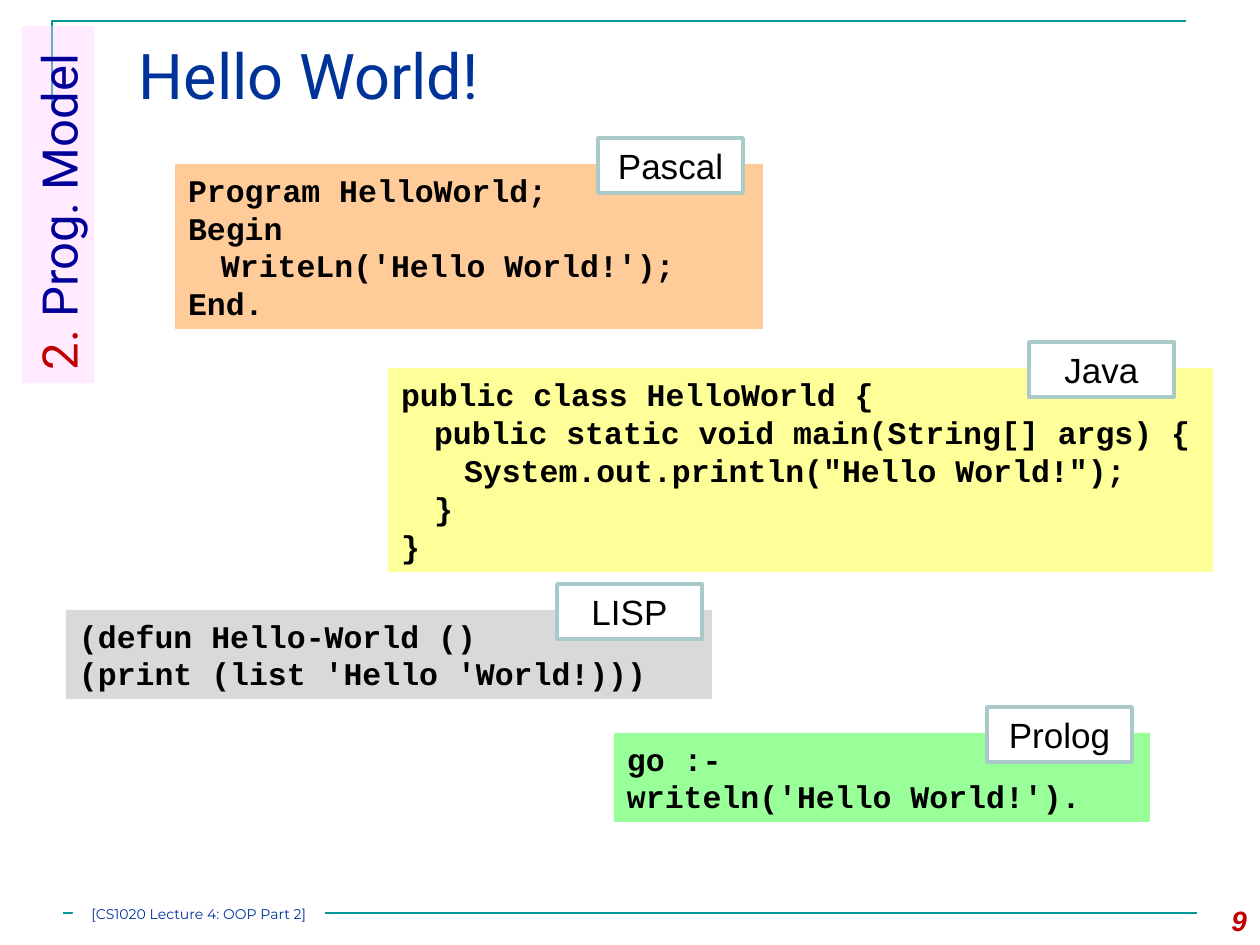
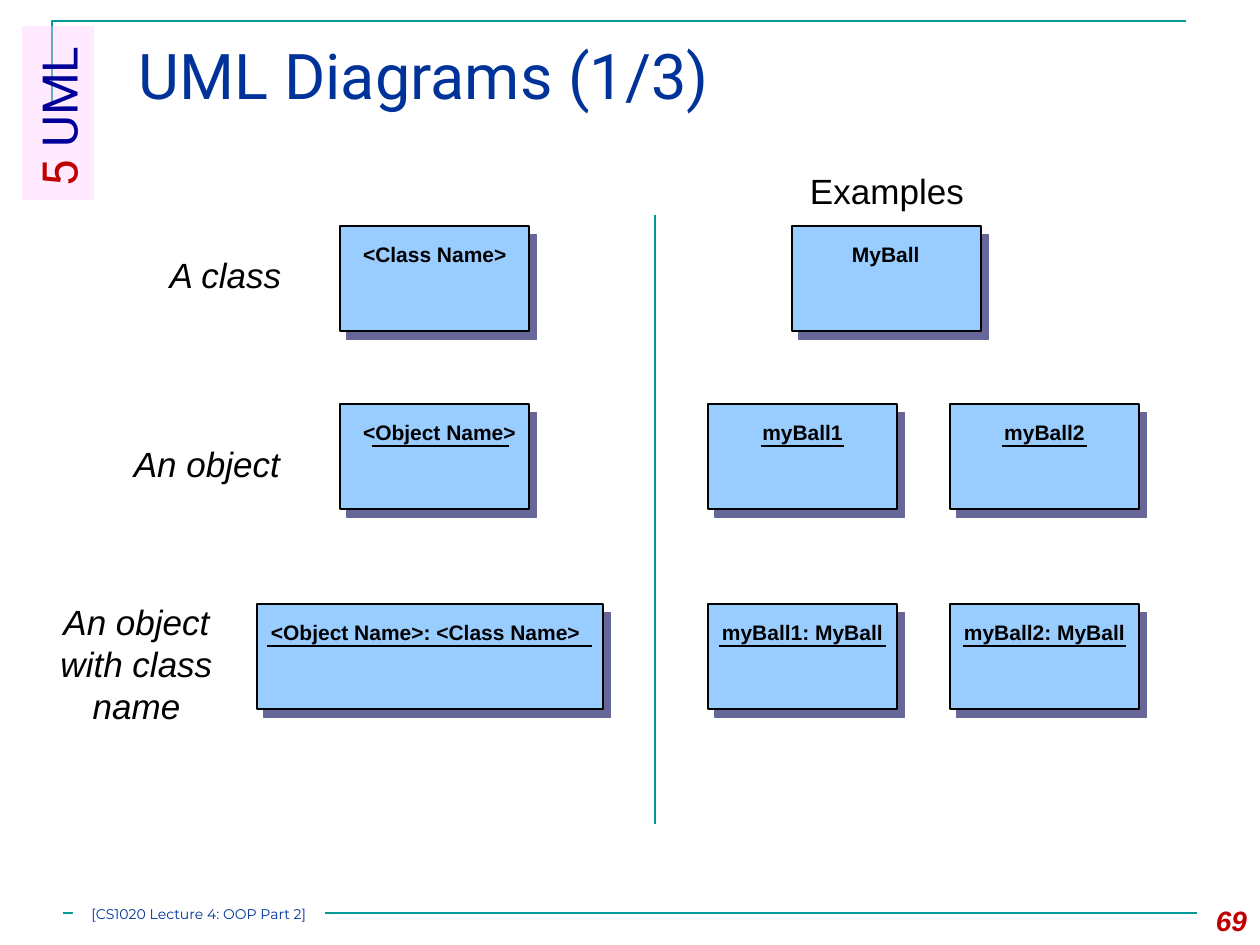
from lxml import etree
from pptx import Presentation
from pptx.dml.color import RGBColor
from pptx.enum import shapes, text
from pptx.oxml import ns
from pptx.util import Pt

NAVY = RGBColor(0x00, 0x33, 0x99)
BLUE = RGBColor(0x00, 0x00, 0x99)
RED = RGBColor(0xC0, 0x00, 0x00)
TEAL = RGBColor(0x00, 0x99, 0x99)
RULE = RGBColor(0x00, 0x96, 0x96)
PINK = RGBColor(0xFF, 0xCC, 0xFF)
BLACK = RGBColor(0x00, 0x00, 0x00)
WHITE = RGBColor(0xFF, 0xFF, 0xFF)
ORANGE = RGBColor(0xFF, 0xCC, 0x99)
YELLOW = RGBColor(0xFF, 0xFF, 0x99)
GREY = RGBColor(0xD9, 0xD9, 0xD9)
GREEN = RGBColor(0x99, 0xFF, 0x99)
EDGE = RGBColor(0xAA, 0xCA, 0xCA)
SKY = RGBColor(0x99, 0xCC, 0xFF)
SHADE = "666699"

PX = 914400 / 126
PAD = (13, 6, 13, 6)
FOOT = "[CS1020 Lecture 4: OOP Part 2]"
LEFT, MID, RIGHT = text.PP_ALIGN.LEFT, text.PP_ALIGN.CENTER, text.PP_ALIGN.RIGHT
TOP, HALF = text.MSO_ANCHOR.TOP, text.MSO_ANCHOR.MIDDLE
RECT, ROUND = shapes.MSO_SHAPE.RECTANGLE, shapes.MSO_SHAPE.ROUNDED_RECTANGLE

# language, left of its label, box, fill, tab stops, code
CODE = [
    ("Pascal", 598, (175, 164, 588, 165), ORANGE, [33], [
        "Program HelloWorld;",
        "Begin",
        "\tWriteLn('Hello World!');",
        "End."]),
    ("Java", 1029, (388, 368, 825, 204), YELLOW, [33, 63], [
        "public class HelloWorld {",
        "\tpublic static void main(String[] args) {",
        "\t\tSystem.out.println(\"Hello World!\");",
        "\t}",
        "}"]),
    ("LISP", 557, (66, 610, 646, 89), GREY, [], [
        "(defun Hello-World ()",
        "(print (list 'Hello 'World!)))"]),
    ("Prolog", 987, (614, 733, 536, 89), GREEN, [], [
        "go :-",
        "writeln('Hello World!')."]),
]
LABEL = (145, 55)
RISE = 26

# label, its box, top of the row, nodes
# node: name, left, width, text left, text width, align, underline ends
WIDE, TALL = 189, 105
ROWS = [
    ("A class", (131, 247, 189, 55), 226, [
        ("<Class Name>", 340, WIDE, 350, 170, LEFT, None),
        ("MyBall", 792, WIDE, 839, 93, LEFT, None)]),
    ("An object", (94, 436, 226, 55), 404, [
        ("<Object Name>", 340, WIDE, 350, 180, LEFT, (372, 509)),
        ("myBall1", 708, WIDE, 749, 107, MID, (761, 844)),
        ("myBall2", 950, WIDE, 991, 107, MID, (1002, 1087))]),
    ("An object with class name", (42, 594, 189, 140), 604, [
        ("<Object Name>: <Class Name>", 257, 346, 258, 343, LEFT, (267, 592)),
        ("myBall1: MyBall", 708, WIDE, 708, WIDE, MID, (719, 886)),
        ("myBall2: MyBall", 950, WIDE, 950, WIDE, MID, (963, 1126))]),
]


def emu(*vals):
    return [round(v * PX) for v in vals]


def write(shape, lines, size=20, font="Arial", color=BLACK, bold=False,
          italic=False, align=LEFT, anchor=HALF, pad=PAD, tabs=(), lead=None):
    """Fill a shape with lines; a line is a string or (string, colour) pairs."""
    frame = shape.text_frame
    frame.word_wrap = True
    frame.auto_size = text.MSO_AUTO_SIZE.NONE
    frame.vertical_anchor = anchor
    (frame.margin_left, frame.margin_top,
     frame.margin_right, frame.margin_bottom) = emu(*pad)
    for i, line in enumerate(lines):
        par = frame.add_paragraph() if i else frame.paragraphs[0]
        par.alignment = align
        if lead:
            par.line_spacing = Pt(lead)
        if tabs:
            stops = etree.SubElement(par._p.get_or_add_pPr(), ns.qn("a:tabLst"))
            for stop in tabs:
                etree.SubElement(stops, ns.qn("a:tab"),
                                 pos=str(emu(stop)[0]), algn="l")
        for words, tint in [(line, color)] if isinstance(line, str) else line:
            run = par.add_run()
            run.text = words
            face = run.font
            face.name, face.size = font, Pt(size)
            face.bold, face.italic = bold, italic
            face.color.rgb = tint


def block(slide, spot, fill, kind=RECT, edge=None, width=1):
    box = slide.shapes.add_shape(kind, *emu(*spot))
    box.shadow.inherit = False
    box.fill.solid()
    box.fill.fore_color.rgb = fill
    if edge is None:
        box.line.fill.background()
    else:
        box.line.color.rgb = edge
        box.line.width = Pt(width)
    return box


def label(slide, spot, words, **form):
    write(slide.shapes.add_textbox(*emu(*spot)), [words], **form)


def rule(slide, ends, color, width):
    line = slide.shapes.add_connector(shapes.MSO_CONNECTOR.STRAIGHT, *emu(*ends))
    line.line.color.rgb = color
    line.line.width = Pt(width)
    etree.SubElement(line._element.spPr, ns.qn("a:effectLst"))


def start(deck, head, page, tag, span):
    """Add a slide with its title, frame, side tag, footer and page number."""
    slide = deck.slides.add_slide(deck.slide_layouts[5])
    pen = slide.shapes.build_freeform(*emu(52, 105), scale=1.0)
    pen.add_line_segments([emu(52, 21), emu(1186, 21)], close=False)
    frame = pen.convert_to_shape()
    frame.shadow.inherit = False
    frame.fill.background()
    frame.line.color.rgb = TEAL
    frame.line.width = Pt(1.5)
    rule(slide, (63, 913, 1197, 913), TEAL, 1.5)

    title = slide.shapes.title
    title.left, title.top, title.width, title.height = emu(126, 32, 1071, 108)
    write(title, [head], size=36, font="Roboto", color=NAVY, anchor=TOP,
          pad=(13, 4, 13, 6))

    deep = 72
    side = block(slide, (22 + (deep - span) / 2, 26 + (span - deep) / 2,
                         span, deep), PINK)
    side.rotation = 270
    tint = side.fill._xPr.find(".//" + ns.qn("a:srgbClr"))
    etree.SubElement(tint, ns.qn("a:alpha"), val="40000")
    write(side, [tag], size=28, font="Roboto")

    foot = block(slide, (73, 903, 252, 21), WHITE)
    write(foot, [FOOT], size=8, font="Montserrat", color=NAVY, align=MID,
          pad=(0, 0, 0, 0))
    label(slide, (1176, 895, 84, 50), page, size=16, color=RED, bold=True,
          italic=True, align=RIGHT)
    return slide


def node(slide, top, name, left, wide, at, room, align, ends):
    box = block(slide, (left, top, wide, TALL), SKY, ROUND, BLACK, 0.75)
    box.adjustments[0] = 0
    fx = box._element.spPr.find(ns.qn("a:effectLst"))
    cast = etree.SubElement(fx, ns.qn("a:outerShdw"), blurRad="0", dist="81280",
                            dir="3060000", algn="ctr", rotWithShape="0")
    etree.SubElement(cast, ns.qn("a:srgbClr"), val=SHADE)
    label(slide, (at, top + 10, room, 38), name, size=12, bold=True,
          align=align, anchor=TOP, pad=(13, 6, 0 if align == LEFT else 13, 6))
    if ends:
        rule(slide, (ends[0], top + 42, ends[1], top + 42), BLACK, 1)


def hello(deck):
    slide = start(deck, "Hello World!", "9",
                  [("2.", RED), (" Prog. Model", BLUE)], 357)
    for lang, left, spot, fill, tabs, lines in CODE:
        write(block(slide, spot, fill), lines, size=18, font="Courier New",
              bold=True, tabs=tabs, lead=21.6)
        tab = block(slide, (left, spot[1] - RISE, *LABEL), WHITE, RECT, EDGE, 2)
        write(tab, [lang], align=MID)


def uml(deck):
    slide = start(deck, "UML Diagrams (1/3)", "69",
                  [("5", RED), (" UML", BLUE)], 174)
    label(slide, (761, 163, 252, 55), "Examples", align=MID)
    for name, spot, top, nodes in ROWS:
        label(slide, spot, name, italic=True, align=MID, lead=24)
        for item in nodes:
            node(slide, top, *item)
    rule(slide, (655, 215, 655, 824), RULE, 0.75)


def main():
    deck = Presentation()
    deck.slide_width, deck.slide_height = emu(1260, 945)
    hello(deck)
    uml(deck)
    deck.save("out.pptx")


if __name__ == "__main__":
    main()
